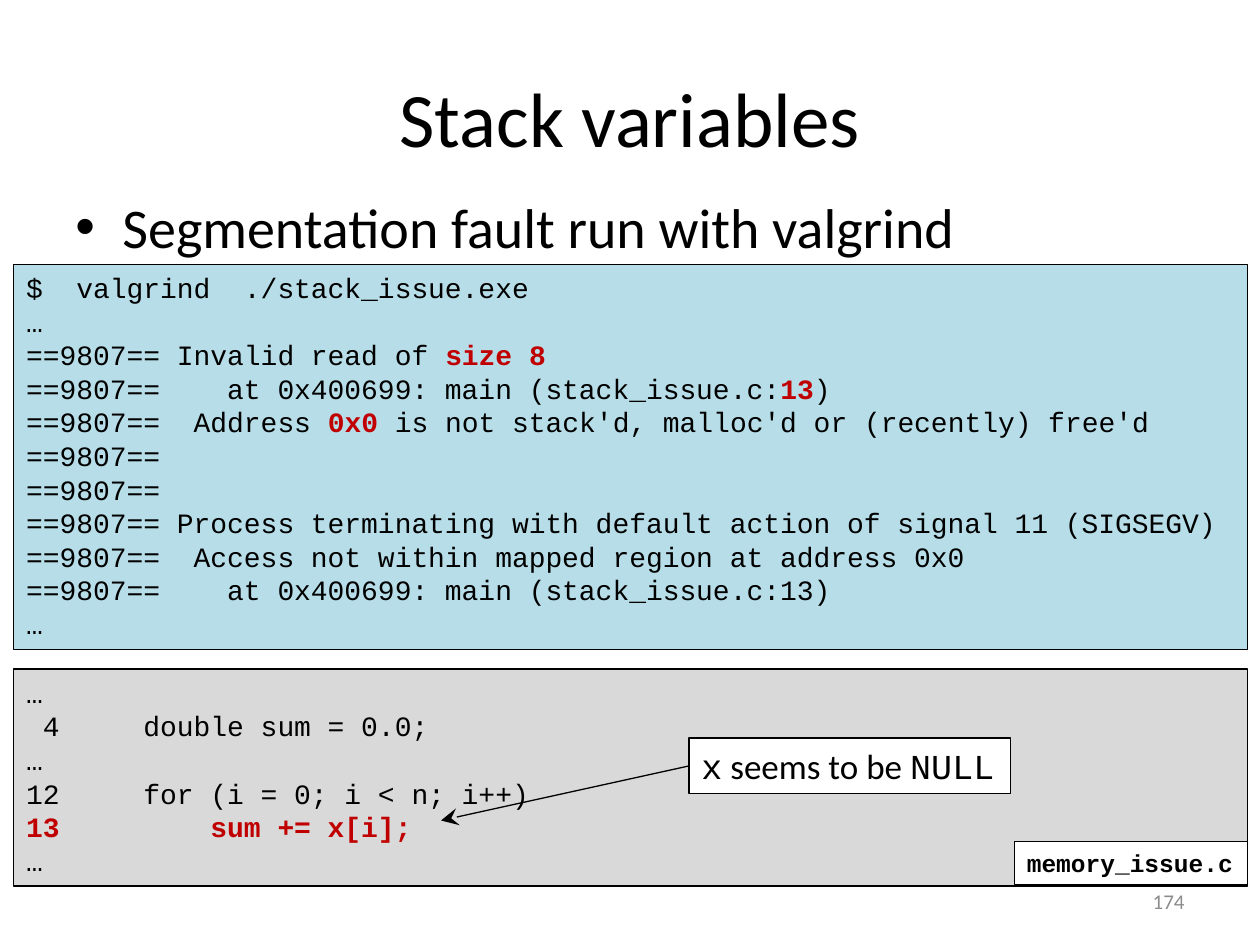
"""Build the slide on a stack variable fault found with valgrind."""
import lxml.etree
import pptx
import pptx.dml.color
import pptx.enum.shapes
import pptx.enum.text
import pptx.oxml.ns
import pptx.util

Cm = pptx.util.Cm
Pt = pptx.util.Pt
qn = pptx.oxml.ns.qn
Align = pptx.enum.text.PP_ALIGN
Anchor = pptx.enum.text.MSO_ANCHOR
Fit = pptx.enum.text.MSO_AUTO_SIZE
INK = {"black": "000000", "white": "FFFFFF", "red": "C00000",
       "blue": "B7DEE8", "pale": "D9D9D9", "grey": "8C8C8C"}
SANS = "Calibri"
MONO = "Courier New"


def tint(name):
    return pptx.dml.color.RGBColor.from_string(INK[name])


def write(frame, lines, size, face, ink="black", bold=False, align=Align.LEFT, alt=None):
    for i, line in enumerate(lines):
        para = frame.paragraphs[0] if i == 0 else frame.add_paragraph()
        para.alignment = align
        para.font.size = Pt(size)
        para.font.name = face
        para.font.bold = bold
        para.font.color.rgb = tint(ink)
        for j, part in enumerate(line.split("|")):
            if not part:
                continue
            run = para.add_run()
            run.text = part
            if j % 2 and alt:
                run.font.name = alt
            elif j % 2:
                run.font.bold = True
                run.font.color.rgb = tint("red")


deck = pptx.Presentation()
deck.slide_width = Cm(25.4)
deck.slide_height = Cm(19.05)
slide = deck.slides.add_slide(deck.slide_layouts[6])
shapes = slide.shapes

body = shapes.add_textbox(Cm(1.27), Cm(3.76), Cm(22.86), Cm(12.57)).text_frame
body.word_wrap = True
props = body.paragraphs[0]._p.get_or_add_pPr()
props.set("marL", str(Cm(0.95)))
props.set("indent", str(-Cm(0.95)))
lxml.etree.SubElement(props, qn("a:buFont")).set("typeface", "Arial")
lxml.etree.SubElement(props, qn("a:buChar")).set("char", "•")
write(body, ["Segmentation fault run with valgrind"], 32, SANS)

labels = [
    ((1.27, 0.76, 22.86, 3.18), "Stack variables", 44, "black", Align.CENTER),
    ((18.2, 17.66, 5.93, 1.01), "174", 12, "grey", Align.RIGHT),
]
for area, text, size, ink, align in labels:
    frame = shapes.add_textbox(*map(Cm, area)).text_frame
    frame.word_wrap = True
    frame.vertical_anchor = Anchor.MIDDLE
    write(frame, [text], size, SANS, ink, align=align)

trace = [
    "$  valgrind  ./stack_issue.exe",
    "…",
    "==9807== Invalid read of |size 8|",
    "==9807==    at 0x400699: main (stack_issue.c:|13|)",
    "==9807==  Address |0x0| is not stack'd, malloc'd or (recently) free'd",
    "==9807==",
    "==9807==",
    "==9807== Process terminating with default action of signal 11 (SIGSEGV)",
    "==9807==  Access not within mapped region at address 0x0",
    "==9807==    at 0x400699: main (stack_issue.c:13)",
    "…",
]
code = [
    "…",
    " 4     double sum = 0.0;",
    "…",
    "12     for (i = 0; i < n; i++)",
    "|13         sum += x[i];|",
    "…",
]
panels = [
    ((0.28, 5.33, 24.87, 7.77), "blue", True, trace, 16, False, None),
    ((0.28, 13.49, 24.87, 4.37), "pale", True, code, 16, False, None),
    ((20.45, 16.97, 4.7, 0.86), "white", False, ["memory_issue.c"], 14, True, None),
    ((13.89, 14.88, 6.48, 1.12), "white", False, ["x| seems to be |NULL"], 20, False, SANS),
]
for area, fill, wrap, lines, size, bold, alt in panels:
    box = shapes.add_shape(pptx.enum.shapes.MSO_SHAPE.RECTANGLE, *map(Cm, area))
    box.shadow.inherit = False
    box.fill.solid()
    box.fill.fore_color.rgb = tint(fill)
    box.line.color.rgb = tint("black")
    box.line.width = Pt(0.75)
    frame = box.text_frame
    frame.word_wrap = wrap
    frame.auto_size = Fit.SHAPE_TO_FIT_TEXT
    frame.vertical_anchor = Anchor.TOP
    write(frame, lines, size, MONO, bold=bold, alt=alt)

arrow = shapes.add_connector(pptx.enum.shapes.MSO_CONNECTOR.STRAIGHT,
                             Cm(13.89), Cm(15.44), Cm(8.89), Cm(16.54))
arrow.line.color.rgb = tint("black")
arrow.line.width = Pt(0.75)
head = lxml.etree.SubElement(arrow.line._get_or_add_ln(), qn("a:tailEnd"))
for key, value in (("type", "stealth"), ("w", "lg"), ("len", "lg")):
    head.set(key, value)
lxml.etree.SubElement(arrow._element.spPr, qn("a:effectLst"))

deck.save("out.pptx")
